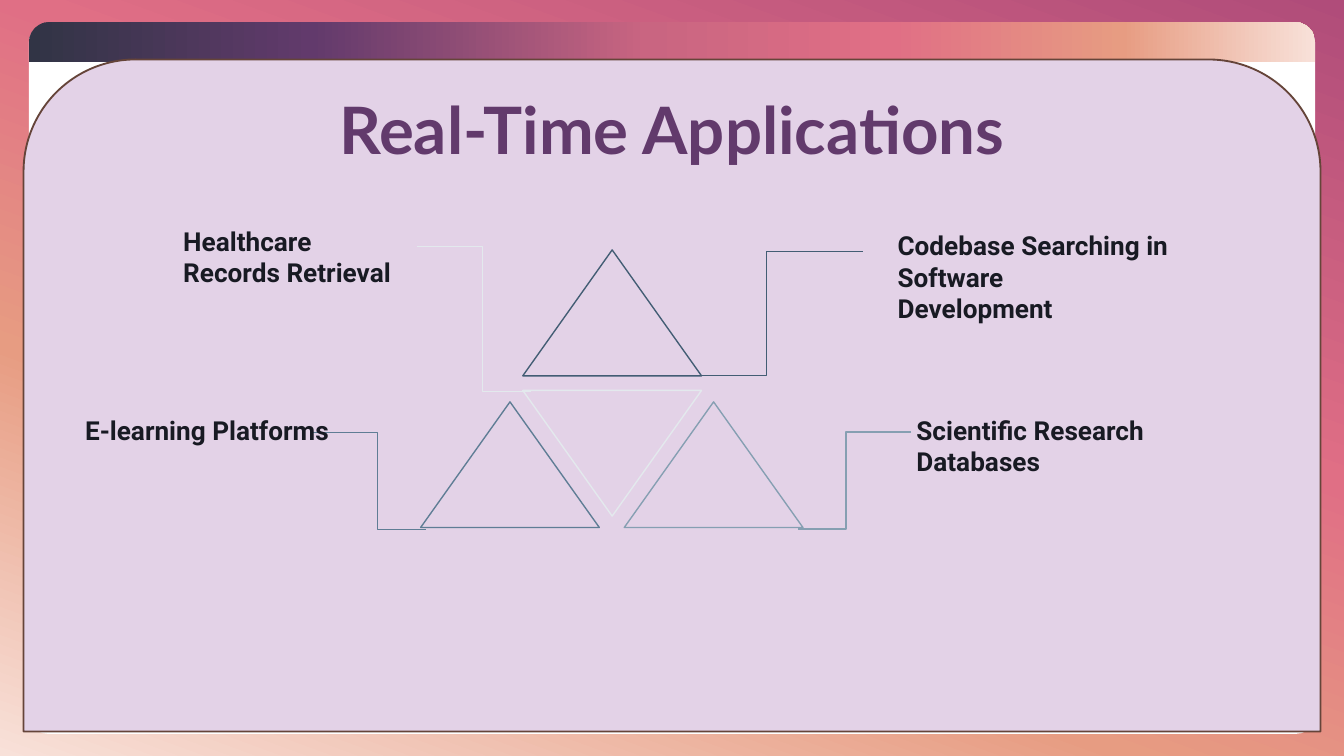
from lxml.etree import SubElement
from pptx import Presentation
from pptx.dml.color import RGBColor
from pptx.enum.shapes import MSO_SHAPE
from pptx.enum.text import MSO_ANCHOR, PP_ALIGN
from pptx.oxml.ns import qn
from pptx.util import Inches, Pt

COLORS = {
    "navy": "313445", "plum": "623A6C", "rose": "C96581", "pink": "E06F85",
    "peach": "E79C82", "cream": "F8E1D9", "magenta": "B04C7A",
    "white": "FFFFFF", "lilac": "E3D2E7", "brown": "654439", "ink": "181A23",
    "pale": "E3E9ED", "mist": "869FB2", "steel": "5F7D95", "slate": "435D74",
}

deck = Presentation()
deck.slide_width, deck.slide_height = Inches(10), Inches(10 * 9 / 16)
CELL = deck.slide_width / 100  # square grid, 100 columns across the slide
slide = deck.slides.add_slide(deck.slide_layouts[6])


def paint_gradient(fill, owner, stops, angle):
    """Fill with (percent, colour) stops along a clockwise angle."""
    fill.gradient()
    fill.gradient_angle = (360 - angle) % 360
    stop_list = next(owner.iter(qn("a:gsLst")))
    for old_stop in list(stop_list):
        stop_list.remove(old_stop)
    for percent, color in stops:
        stop = SubElement(stop_list, qn("a:gs"), pos=str(percent * 1000))
        SubElement(stop, qn("a:srgbClr"), val=COLORS[color])


def write(text, box, size=14, font="Roboto", color="ink", align=PP_ALIGN.LEFT,
          anchor=MSO_ANCHOR.TOP, spacing=1.0):
    frame = slide.shapes.add_textbox(*[round(n * CELL) for n in box]).text_frame
    frame.word_wrap = True
    frame.vertical_anchor = anchor
    frame.text = text
    for paragraph in frame.paragraphs:
        paragraph.alignment = align
        paragraph.line_spacing = spacing
        paragraph.font.name = font
        paragraph.font.size = Pt(size)
        paragraph.font.bold = True
        paragraph.font.color.rgb = RGBColor.from_string(COLORS[color])


# Backdrop: gradient page, white card, gradient strip, lilac panel
paint_gradient(slide.background.fill, slide.element,
               [(0, "magenta"), (39, "pink"), (67, "peach"), (100, "cream")], 110)

strip_stops = [(0, "navy"), (22, "plum"), (48, "rose"), (67, "pink"),
               (85, "peach"), (100, "cream")]
layers = [
    (MSO_SHAPE.ROUNDED_RECTANGLE, (2.15, 1.8, 95.7, 52.8), [0.026], "white", None),
    (MSO_SHAPE.ROUND_2_SAME_RECTANGLE, (2.15, 1.65, 95.7, 3), [0.5, 0], strip_stops, None),
    (MSO_SHAPE.ROUND_2_SAME_RECTANGLE, (1.75, 4.43, 96.5, 50), None, "lilac", "brown"),
]
for preset, box, roundings, paint, border in layers:
    layer = slide.shapes.add_shape(preset, *[round(n * CELL) for n in box])
    layer.shadow.inherit = False
    for index, rounding in enumerate(roundings or []):
        layer.adjustments[index] = rounding
    if isinstance(paint, list):
        paint_gradient(layer.fill, layer.element, paint, 0)
    else:
        layer.fill.solid()
        layer.fill.fore_color.rgb = RGBColor.from_string(COLORS[paint])
    if border:
        layer.line.color.rgb = RGBColor.from_string(COLORS[border])
        layer.line.width = Pt(1)
    else:
        layer.line.fill.background()

write("Real-Time Applications", (7.9, 6, 84.2, 7.8), size=35, font="Lato",
      color="plum", align=PP_ALIGN.CENTER, anchor=MSO_ANCHOR.MIDDLE, spacing=0.9)

# Each application: triangle (tip column, tip row, base row),
# elbow (label column, label row, bend column, triangle column, triangle row)
HALF_BASE = 6.65
applications = [
    ("Scientific Research Databases", (67.2, 30.35, 26, 3.4), "mist",
     (53.1, 29.9, 39.25), (67.8, 32.15, 62.95, 59.35, 39.35)),
    ("E-learning Platforms", (5.35, 30.35, 25.3, 3.4), "steel",
     (37.95, 29.9, 39.25), (23.2, 32.2, 28.1, 31.7, 39.4)),
    ("Healthcare Records Retrieval", (12.65, 16.25, 18.4, 5.7), "pale",
     (45.55, 38.4, 29.05), (31, 18.35, 35.9, 39.5, 29.15)),
    ("Codebase Searching in Software\nDevelopment", (65.8, 16.6, 28.5, 5.7), "slate",
     (45.55, 18.6, 27.97), (64.2, 18.7, 57.05, 51.7, 27.95)),
]
for label, label_box, color, (tip, tip_row, base_row), elbow in applications:
    label_col, label_row, bend, end_col, end_row = elbow
    triangle = [(tip, tip_row), (tip - HALF_BASE, base_row), (tip + HALF_BASE, base_row)]
    leader = [(label_col, label_row), (bend, label_row), (bend, end_row), (end_col, end_row)]
    for points, closed in ((triangle, True), (leader, False)):
        start, *rest = [(round(x * CELL), round(y * CELL)) for x, y in points]
        builder = slide.shapes.build_freeform(*start)
        builder.add_line_segments(rest, close=closed)
        outline = builder.convert_to_shape()
        outline.shadow.inherit = False
        outline.fill.background()
        outline.line.color.rgb = RGBColor.from_string(COLORS[color])
        outline.line.width = Pt(0.75)

for label, label_box, *_ in applications:
    write(label, label_box)

deck.save("out.pptx")
